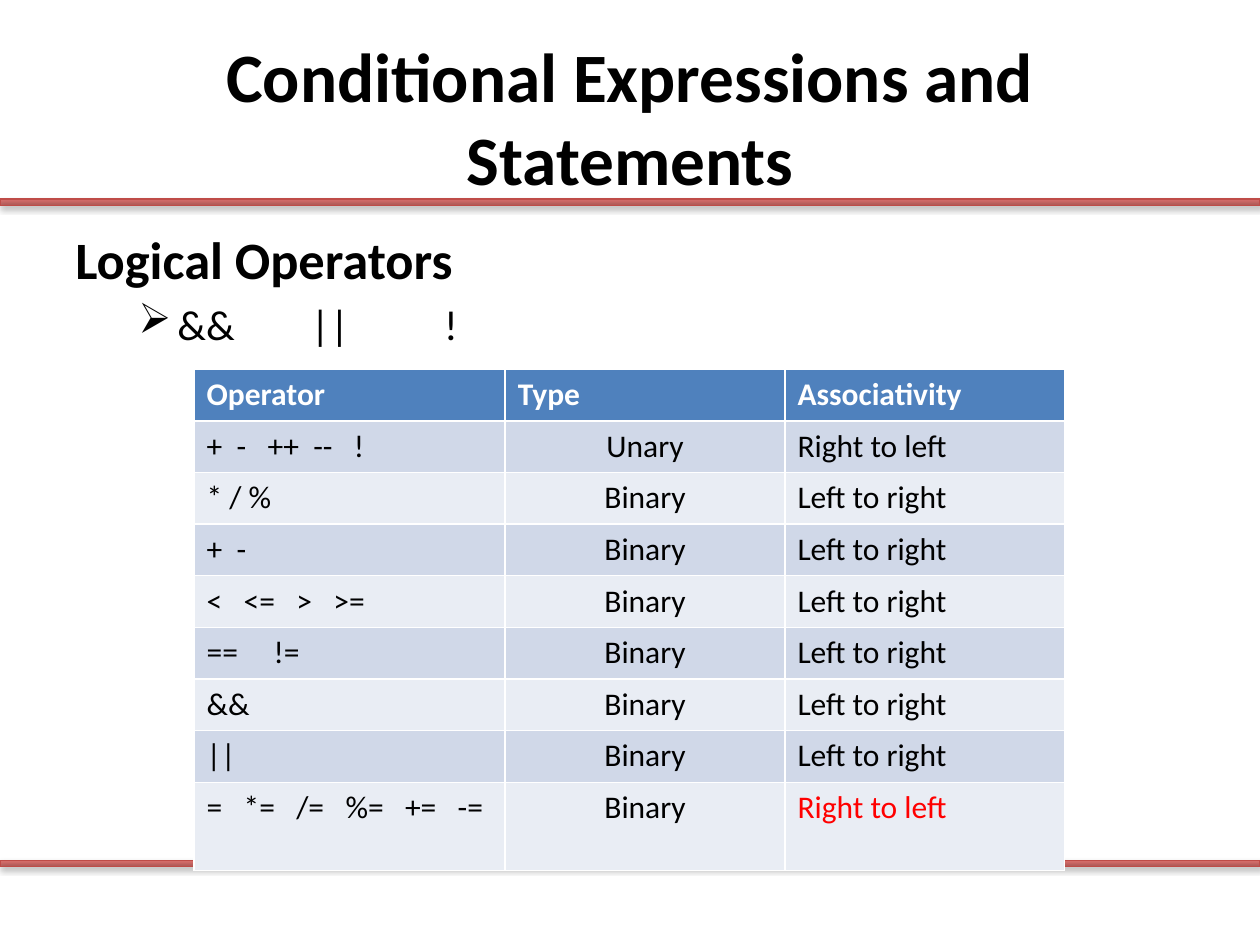
from lxml import etree
from pptx import Presentation
from pptx.dml.color import RGBColor
from pptx.enum.shapes import MSO_SHAPE
from pptx.enum.text import MSO_ANCHOR, MSO_AUTO_SIZE, PP_ALIGN
from pptx.oxml import parse_xml
from pptx.oxml.ns import qn
from pptx.util import Inches, Pt

RECTANGLE = MSO_SHAPE.RECTANGLE
CENTER, LEFT = PP_ALIGN.CENTER, PP_ALIGN.LEFT
BLACK = RGBColor(0x00, 0x00, 0x00)
WHITE = RGBColor(0xFF, 0xFF, 0xFF)
RED = RGBColor(0xFF, 0x00, 0x00)
BAR_LINE = RGBColor(0xBF, 0x4C, 0x48)
HEADER_BLUE = RGBColor(0x4F, 0x81, 0xBD)
BAND_DARK = RGBColor(0xD0, 0xD8, 0xE8)
BAND_LIGHT = RGBColor(0xE9, 0xED, 0xF4)
BAR_STOPS = [(0, "9C2F2D"), (80, "CB3E3A"), (100, "CE3B37")]
DRAWING = 'xmlns:a="http://schemas.openxmlformats.org/drawingml/2006/main"'

ROWS = [
    ("Operator", "Type", "Associativity"),
    ("+  -   ++  --   !", "Unary", "Right to left"),
    ("* / %", "Binary", "Left to right"),
    ("+  -", "Binary", "Left to right"),
    ("<   <=   >   >=", "Binary", "Left to right"),
    ("==     !=", "Binary", "Left to right"),
    ("&&", "Binary", "Left to right"),
    ("||", "Binary", "Left to right"),
    ("=   *=   /=   %=   +=   -=", "Binary", "Right to left"),
]
COLUMN_WIDTHS = [2.47, 2.22, 2.22]
ROW_HEIGHTS = [0.41] * 8 + [0.7]


def set_font(paragraph, size, color, bold):
    font = paragraph.font
    font.name, font.size, font.bold = "Calibri", Pt(size), bold
    font.color.rgb = color


presentation = Presentation()
presentation.slide_width = Inches(10)
presentation.slide_height = Inches(7.5)
slide = presentation.slides.add_slide(presentation.slide_layouts[5])

# Red bars above and below the content
for top in (6.83, 1.58):
    bar = slide.shapes.add_shape(
        RECTANGLE, 0, Inches(top), presentation.slide_width, Inches(0.05))
    bar.line.color.rgb = BAR_LINE
    bar.line.width = Pt(0.75)
    bar.fill.gradient()
    bar.fill.gradient_angle = 90
    properties = bar.element.spPr
    stops = properties.find(".//" + qn("a:gsLst"))
    for stop in list(stops):
        stops.remove(stop)
    for position, color in BAR_STOPS:
        stops.append(parse_xml(
            f'<a:gs {DRAWING} pos="{position * 1000}"><a:srgbClr val="{color}">'
            '<a:alpha val="73000"/></a:srgbClr></a:gs>'))
    properties.append(parse_xml(
        f'<a:effectLst {DRAWING}><a:outerShdw blurRad="{Pt(3.1)}" dist="{Pt(1.8)}" '
        'dir="5400000" rotWithShape="0"><a:srgbClr val="000000">'
        '<a:alpha val="35000"/></a:srgbClr></a:outerShdw></a:effectLst>'))

# Title
title = slide.shapes.title
title.left, title.top = Inches(0.5), Inches(0.3)
title.width, title.height = Inches(9), Inches(1.25)
title.text_frame.text = "Conditional Expressions and Statements"
title.text_frame.auto_size = MSO_AUTO_SIZE.NONE
title.text_frame.vertical_anchor = MSO_ANCHOR.MIDDLE
title.text_frame.paragraphs[0].alignment = CENTER
set_font(title.text_frame.paragraphs[0], 39.6, BLACK, True)

# Heading and bulleted operators
body = slide.shapes.add_textbox(Inches(0.5), Inches(1.75), Inches(9), Inches(4.95))
body.text_frame.word_wrap = True
heading = body.text_frame.paragraphs[0]
heading.text = "Logical Operators"
heading.space_before = Pt(6)
set_font(heading, 30, BLACK, True)

operators = body.text_frame.add_paragraph()
operators.text = "&&        ||          !"
operators.level = 1
operators.space_before = Pt(4.8)
set_font(operators, 24, BLACK, False)
operator_properties = operators._p.get_or_add_pPr()
operator_properties.set("marL", str(Inches(0.81)))
operator_properties.set("indent", str(Inches(-0.31)))
bullet = etree.Element(qn("a:buChar"), char="➢")
operator_properties.find(qn("a:defRPr")).addprevious(bullet)

# Precedence table
table = slide.shapes.add_table(
    len(ROWS), len(COLUMN_WIDTHS), Inches(1.54), Inches(2.93),
    Inches(sum(COLUMN_WIDTHS)), Inches(sum(ROW_HEIGHTS))).table
for column, width in zip(table.columns, COLUMN_WIDTHS):
    column.width = Inches(width)
for row, height in zip(table.rows, ROW_HEIGHTS):
    row.height = Inches(height)

last_row, last_column = len(ROWS) - 1, len(COLUMN_WIDTHS) - 1
for row_index, texts in enumerate(ROWS):
    is_header = row_index == 0
    band = BAND_DARK if row_index % 2 else BAND_LIGHT
    for column_index, text in enumerate(texts):
        cell = table.cell(row_index, column_index)
        cell.fill.solid()
        cell.fill.fore_color.rgb = HEADER_BLUE if is_header else band
        cell.text = text
        paragraph = cell.text_frame.paragraphs[0]
        paragraph.alignment = CENTER if column_index == 1 and not is_header else LEFT
        color = WHITE if is_header else BLACK
        if (row_index, column_index) == (last_row, last_column):
            color = RED
        set_font(paragraph, 18, color, is_header)

presentation.save("out.pptx")
